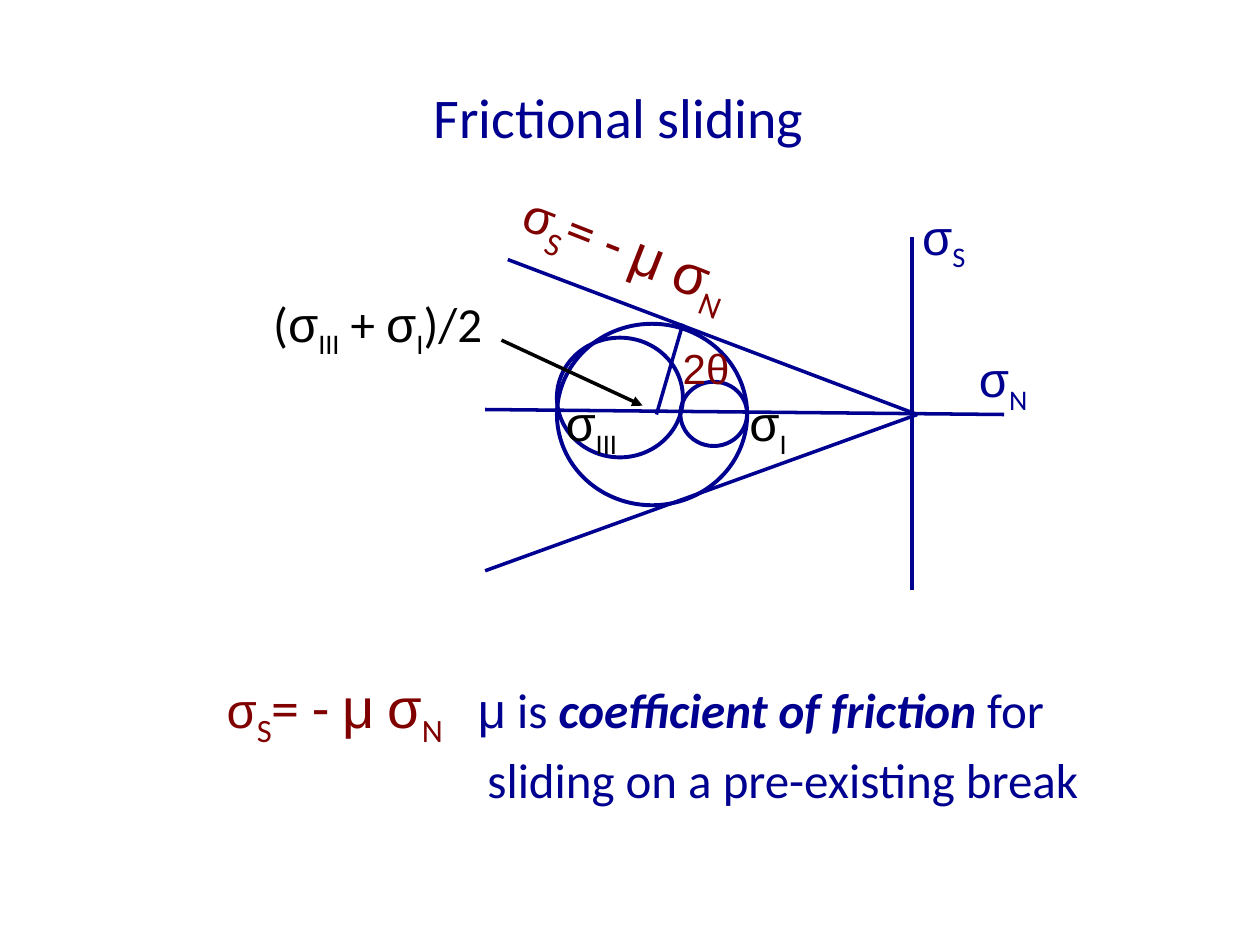
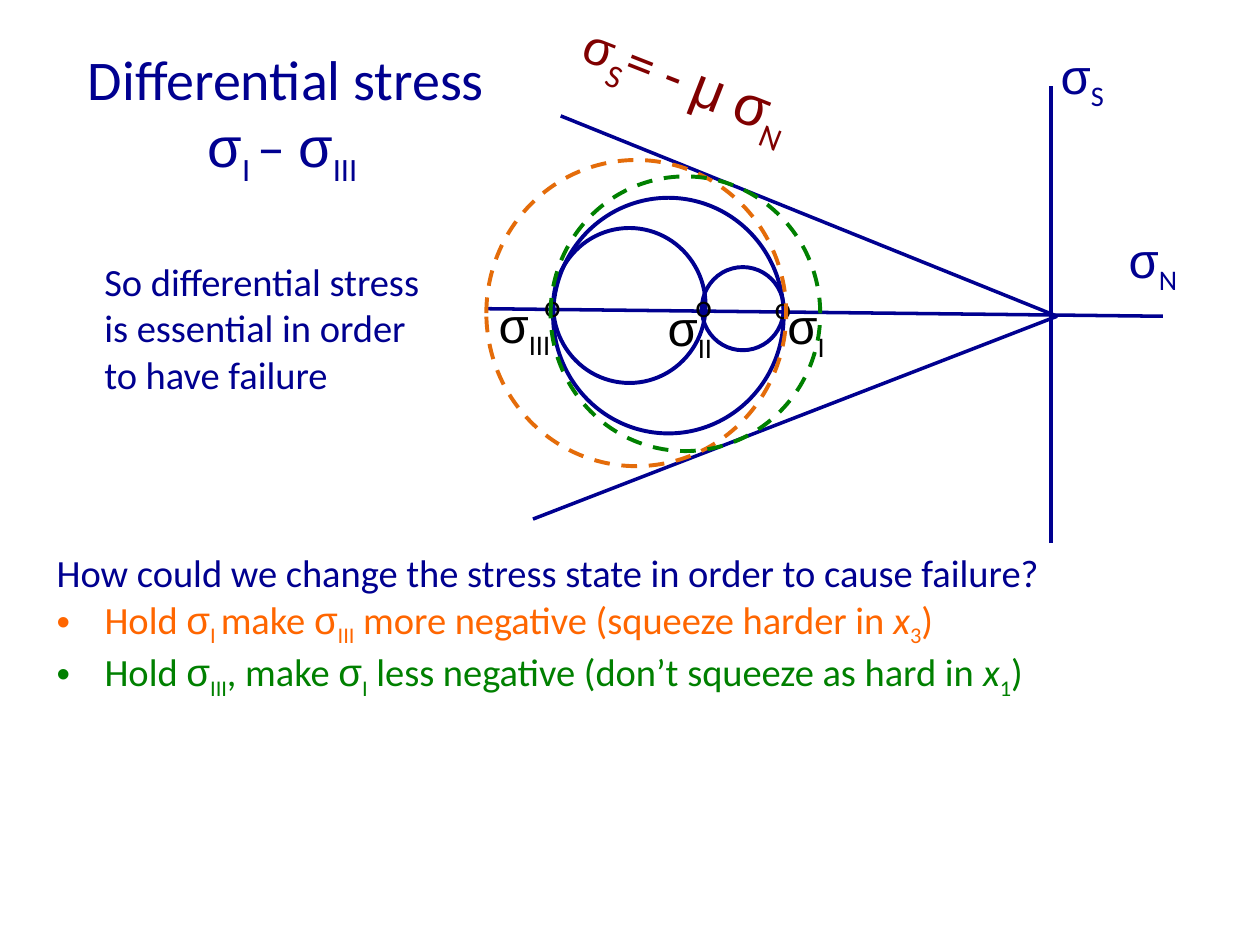
from itertools import groupby

from lxml.etree import SubElement
from pptx import Presentation
from pptx.dml.color import RGBColor
from pptx.enum.dml import MSO_LINE
from pptx.enum.shapes import MSO_CONNECTOR, MSO_SHAPE
from pptx.enum.text import MSO_ANCHOR, MSO_AUTO_SIZE, PP_ALIGN
from pptx.oxml.ns import qn
from pptx.util import Inches, Pt

NAVY, MAROON, BLACK = "000090", "800000", "000000"
ORANGE, DASH_ORANGE, GREEN = "FF6600", "E46C0A", "008000"
GREEK = "σμθ"


def rgb(value):
    """Turn a hex string into a colour."""
    return RGBColor.from_string(value)


def add_text(p, text, size=28, color=NAVY, font="Calibri", bold=False, italic=False, gap=0):
    """Add runs to a paragraph; text between tildes is subscript, Greek is Arial."""
    for i, part in enumerate(text.split("~")):
        for greek, chars in groupby(part, key=lambda c: c in GREEK):
            r = p.add_run()
            r.text = "".join(chars)
            r.font.size = Pt(size)
            r.font.name = "Arial" if greek else font
            r.font.color.rgb = rgb(color)
            r.font.bold, r.font.italic = bold, italic
            if i % 2:
                r.font._element.set("baseline", "-25000")
            if gap:
                r.font._element.set("spc", str(gap * 100))


def text_box(s, x, y, w, h, wrap=True):
    """Add an empty text box and return it with its first paragraph."""
    sp = s.shapes.add_textbox(Inches(x), Inches(y), Inches(w), Inches(h))
    tf = sp.text_frame
    tf.word_wrap = wrap
    tf.auto_size = MSO_AUTO_SIZE.SHAPE_TO_FIT_TEXT
    return sp, tf.paragraphs[0]


def label(s, text, x, y, w, h=0.57, wrap=False, **style):
    """Add a one-style label."""
    add_text(text_box(s, x, y, w, h, wrap)[1], text, **style)


def place(sp, x, y, w, h):
    """Move a placeholder and return its text frame."""
    sp.left, sp.top, sp.width, sp.height = map(Inches, (x, y, w, h))
    tf = sp.text_frame
    tf.word_wrap = True
    tf.auto_size = MSO_AUTO_SIZE.NONE
    return tf


def title(s, text, x, w):
    """Fill the title placeholder."""
    tf = place(s.shapes.title, x, 0.3, w, 1.25)
    tf.vertical_anchor = MSO_ANCHOR.MIDDLE
    tf.paragraphs[0].alignment = PP_ALIGN.CENTER
    add_text(tf.paragraphs[0], text, size=32)


def line(s, x1, y1, x2, y2, color=NAVY, arrow=False):
    """Draw a straight line, with an arrowhead at its end if asked."""
    c = s.shapes.add_connector(MSO_CONNECTOR.STRAIGHT, *map(Inches, (x1, y1, x2, y2)))
    c.line.color.rgb = rgb(color)
    c.line.width = Pt(2)
    if arrow:
        SubElement(c.line._get_or_add_ln(), qn("a:tailEnd"), type="triangle")
    SubElement(c._element.spPr, qn("a:effectLst"))


def circle(s, x, y, w, h, color=NAVY, dashed=False):
    """Draw an unfilled stress circle."""
    sp = s.shapes.add_shape(MSO_SHAPE.OVAL, *map(Inches, (x, y, w, h)))
    sp.shadow.inherit = False
    sp.fill.background()
    sp.line.color.rgb = rgb(color)
    sp.line.width = Pt(2.25)
    if dashed:
        sp.line.dash_style = MSO_LINE.DASH


def friction_law(p):
    """Write the sliding criterion into a paragraph."""
    add_text(p, "σ", color=MAROON)
    add_text(p, "~S~= - μ σ~N", size=32, color=MAROON)


def mohr_diagram(s, box, normal, shear_x, apex, envelope, circles, labels, law):
    """Draw axes, failure envelope, circles and labels relative to a box."""
    left, top, width, height = box
    line(s, left, top + normal[0], left + width, top + normal[1])
    line(s, left + shear_x, top + height, left + shear_x, top)
    for x, y in envelope:
        line(s, left + x, top + y, left + apex[0], top + apex[1])
    for x, y, w, h in circles:
        circle(s, left + x, top + y, w, h)
    for text, x, y, w, color in labels:
        label(s, text, left + x, top + y, w, color=color)
    x, y, w, h = law
    sp, p = text_box(s, left + x, top + y, w, h)
    sp.rotation = 21.4
    friction_law(p)


def sliding_slide(prs):
    """Build the slide on frictional sliding."""
    s = prs.slides.add_slide(prs.slide_layouts[5])
    title(s, "Frictional sliding", 0.41, 9)
    left, top = 3.85, 1.88
    mohr_diagram(
        s, (left, top, 4.12, 2.8), normal=(1.37, 1.41), shear_x=3.39, apex=(3.43, 1.41),
        envelope=[(0.18, 0.18), (0, 2.65)],
        circles=[(0.57, 0.69, 1.51, 1.44), (0.57, 0.8, 1, 0.95), (1.55, 1.15, 0.53, 0.51)],
        labels=[("σ~N", 3.82, 0.84, 0.61, NAVY), ("σ~S", 3.37, -0.29, 0.56, NAVY),
                ("σ~III", 0.54, 1.19, 0.64, BLACK), ("σ~I", 2, 1.19, 0.5, BLACK),
                ("(σ~III~ + σ~I~)/2", -1.78, 0.4, 1.91, BLACK)],
        law=(0.17, -0.19, 2.16, 0.64))
    line(s, left + 1.36, top + 1.41, left + 1.57, top + 0.69)
    line(s, left + 0.13, top + 0.82, left + 1.25, top + 1.34, BLACK, arrow=True)
    label(s, "2θ", left + 1.47, top + 0.79, 0.6, 0.5, wrap=True,
          size=24, color=MAROON, font="Arial")
    friction_note(s, 1.7, 5.29, 7.31, 1.11)


def friction_note(s, x, y, w, h):
    """Write the criterion and its explanation with a hanging indent."""
    p = text_box(s, x, y, w, h)[1]
    pPr = p._p.get_or_add_pPr()
    pPr.set("marL", str(Inches(2.07)))
    pPr.set("indent", str(-Inches(2.07)))
    friction_law(p)
    add_text(p, "~ ", size=32, color=MAROON, gap=16)
    add_text(p, "μ is ")
    add_text(p, "coefficient of friction ", bold=True, italic=True)
    add_text(p, "for sliding on a pre-existing break")


def failure_list(s, x, y, w, h):
    """Fill the body placeholder with the question and its two answers."""
    tf = place(s.placeholders[1], x, y, w, h)
    items = [
        (NAVY, "How could we change the stress state in order to cause failure?", None),
        (ORANGE, "Hold σ~I ~make σ~III~ more negative (squeeze harder in ", "3"),
        (GREEN, "Hold σ~III~, make σ~I~ less negative (don’t squeeze as hard in ", "1"),
    ]
    for i, (color, text, axis) in enumerate(items):
        p = tf.add_paragraph() if i else tf.paragraphs[0]
        pPr = p._p.get_or_add_pPr()
        indent = Inches(0.38) if axis else 0
        pPr.set("marL", str(indent))
        pPr.set("indent", str(-indent))
        p.space_before = Pt(0)
        if axis:
            SubElement(pPr, qn("a:buChar"), char="•")
        else:
            SubElement(pPr, qn("a:buNone"))
        add_text(p, text, size=22, color=color)
        if axis:
            add_text(p, "x", size=22, color=color, italic=True)
            add_text(p, f"~{axis}~)", size=22, color=color)


def differential_slide(prs):
    """Build the slide on differential stress."""
    s = prs.slides.add_slide(prs.slide_layouts[1])
    title(s, "Differential stress σ~I ~– σ~III ", 0.4, 3.74)
    failure_list(s, 0.35, 4.31, 9.25, 1.25)
    left, top = 3.86, 0.68
    mohr_diagram(
        s, (left, top, 5.37, 3.63), normal=(1.77, 1.83), shear_x=4.48, apex=(4.53, 1.83),
        envelope=[(0.59, 0.24), (0.37, 3.44)],
        circles=[(0.53, 0.89, 1.83, 1.87), (0.53, 1.13, 1.21, 1.23), (1.71, 1.44, 0.65, 0.66)],
        labels=[("σ~N", 5, 1.09, 0.74, NAVY), ("σ~S", 4.46, -0.37, 0.68, NAVY),
                ("σ~III", 0, 1.61, 0.77, BLACK), ("σ~I", 2.29, 1.62, 0.61, BLACK),
                ("σ~II", 1.34, 1.63, 0.69, BLACK)],
        law=(0.59, -0.25, 2.62, 0.83))
    for x, y in [(0.36, 1.54), (1.56, 1.54), (2.19, 1.56)]:
        label(s, "o", left + x, top + y, 0.41, 0.52, size=18, color=BLACK)
    label(s, "So differential stress is essential in order to have failure",
          0.73, 2, 2.9, 1.21, wrap=True, size=22)
    circle(s, left, top + 0.59, 2.38, 2.43, DASH_ORANGE, dashed=True)
    circle(s, left + 0.51, top + 0.72, 2.14, 2.18, GREEN, dashed=True)


def main():
    """Build and save the presentation."""
    prs = Presentation()
    prs.slide_width, prs.slide_height = Inches(10), Inches(7.5)
    sliding_slide(prs)
    differential_slide(prs)
    prs.save("out.pptx")


if __name__ == "__main__":
    main()
